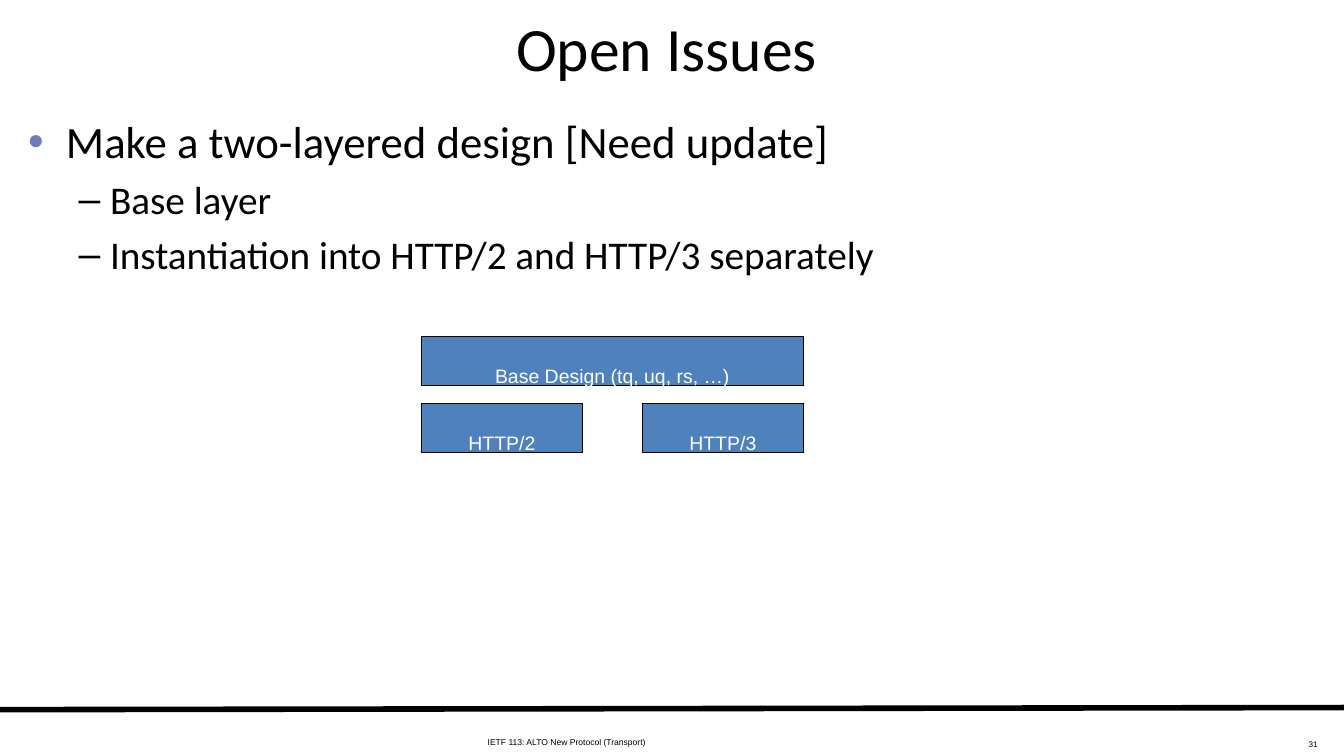
from lxml.etree import SubElement
from pptx import Presentation
from pptx.dml.color import RGBColor
from pptx.enum.shapes import MSO_CONNECTOR, MSO_SHAPE
from pptx.enum.text import MSO_ANCHOR, MSO_AUTO_SIZE, PP_ALIGN
from pptx.oxml import parse_xml
from pptx.oxml.ns import nsdecls, qn
from pptx.util import Pt


def color(value):
    return RGBColor.from_string(value)


def style(p, size, font="Calibri", ink="000000", align=PP_ALIGN.LEFT, lowered=False):
    p.alignment = align
    for r in p.runs:
        r.font.size = Pt(size)
        r.font.name = font
        r.font.color.rgb = color(ink)
        if lowered:
            r.font._element.set("baseline", "-25000")


def place(sp, left, top, width, height):
    sp.left, sp.top, sp.width, sp.height = Pt(left), Pt(top), Pt(width), Pt(height)


def set_title(s, text):
    sp = s.shapes.title
    place(sp, 26.6, 6.5, 899.3, 54)
    tf = sp.text_frame
    tf.text = text
    tf.auto_size = MSO_AUTO_SIZE.NONE
    tf.vertical_anchor = MSO_ANCHOR.MIDDLE
    p = tf.paragraphs[0]
    style(p, 44, align=PP_ALIGN.CENTER)
    shadow = parse_xml(
        f'<a:effectLst {nsdecls("a")}><a:outerShdw blurRad="38100" dist="38100" dir="2700000">'
        '<a:srgbClr val="C0C0C0"/></a:outerShdw></a:effectLst>')
    p.runs[0].font._element.find(qn("a:solidFill")).addnext(shadow)


def add_text(s, left, top, width, height, text, wrap=True):
    sp = s.shapes.add_textbox(Pt(left), Pt(top), Pt(width), Pt(height))
    tf = sp.text_frame
    tf.word_wrap = wrap
    tf.text = text
    return tf


def add_bullet(p, level, char, size, margin, indent, bullet_color):
    p.level = level
    style(p, size)
    p.space_before = Pt(size * 0.2)
    pPr = p._p.get_or_add_pPr()
    pPr.set("marL", str(Pt(margin)))
    pPr.set("indent", str(Pt(-indent)))
    SubElement(SubElement(pPr, qn("a:buClr")), qn("a:srgbClr")).set("val", bullet_color)
    SubElement(pPr, qn("a:buFont")).set("typeface", "Arial")
    SubElement(pPr, qn("a:buChar")).set("char", char)


def add_outline(s, items):
    tf = add_text(s, 13, 77.8, 929.5, 419.8, "\n".join(text for _, text in items))
    levels = [("•", 32, 27, 27, "6E7BBD"), ("–", 28, 58.5, 22.5, "000000")]
    for p, (level, _) in zip(tf.paragraphs, items):
        add_bullet(p, level, *levels[level])


def add_box(s, left, top, width, text):
    sp = s.shapes.add_shape(MSO_SHAPE.RECTANGLE, Pt(left), Pt(top), Pt(width), Pt(35))
    sp.shadow.inherit = False
    sp.fill.solid()
    sp.fill.fore_color.rgb = color("4F81BD")
    sp.line.color.rgb = color("000000")
    sp.line.width = Pt(0.75)
    tf = sp.text_frame
    tf.text = text
    tf.vertical_anchor = MSO_ANCHOR.TOP
    style(tf.paragraphs[0], 24, "Arial", "FFFFFF", PP_ALIGN.CENTER, lowered=True)


def add_footer(s, text, number):
    rule = s.shapes.add_connector(MSO_CONNECTOR.STRAIGHT, Pt(0), Pt(506.9), Pt(960), Pt(505.4))
    rule.line.color.rgb = color("000000")
    rule.line.width = Pt(4)
    SubElement(rule._element.spPr, qn("a:effectLst"))
    tf = add_text(s, 341.3, 515.5, 213, 20, text, wrap=False)
    style(tf.paragraphs[0], 10.5, "Arial", lowered=True)
    tf = add_text(s, 748, 517.7, 200.2, 23.8, number)
    style(tf.paragraphs[0], 10, "Arial", align=PP_ALIGN.RIGHT, lowered=True)


def main():
    prs = Presentation()
    prs.slide_width, prs.slide_height = Pt(960), Pt(540)
    s = prs.slides.add_slide(prs.slide_layouts[5])
    add_footer(s, "IETF 113: ALTO New Protocol (Transport)", "31")
    set_title(s, "Open Issues")
    add_outline(s, [
        (0, "Make a two-layered design [Need update]"),
        (1, "Base layer"),
        (1, "Instantiation into HTTP/2 and HTTP/3 separately"),
    ])
    left, width, half = 301, 273, 115.2
    add_box(s, left, 240.7, width, "Base Design (tq, uq, rs, …)")
    add_box(s, left, 288, half, "HTTP/2")
    add_box(s, left + width - half, 288, half, "HTTP/3")
    prs.save("out.pptx")


if __name__ == "__main__":
    main()
